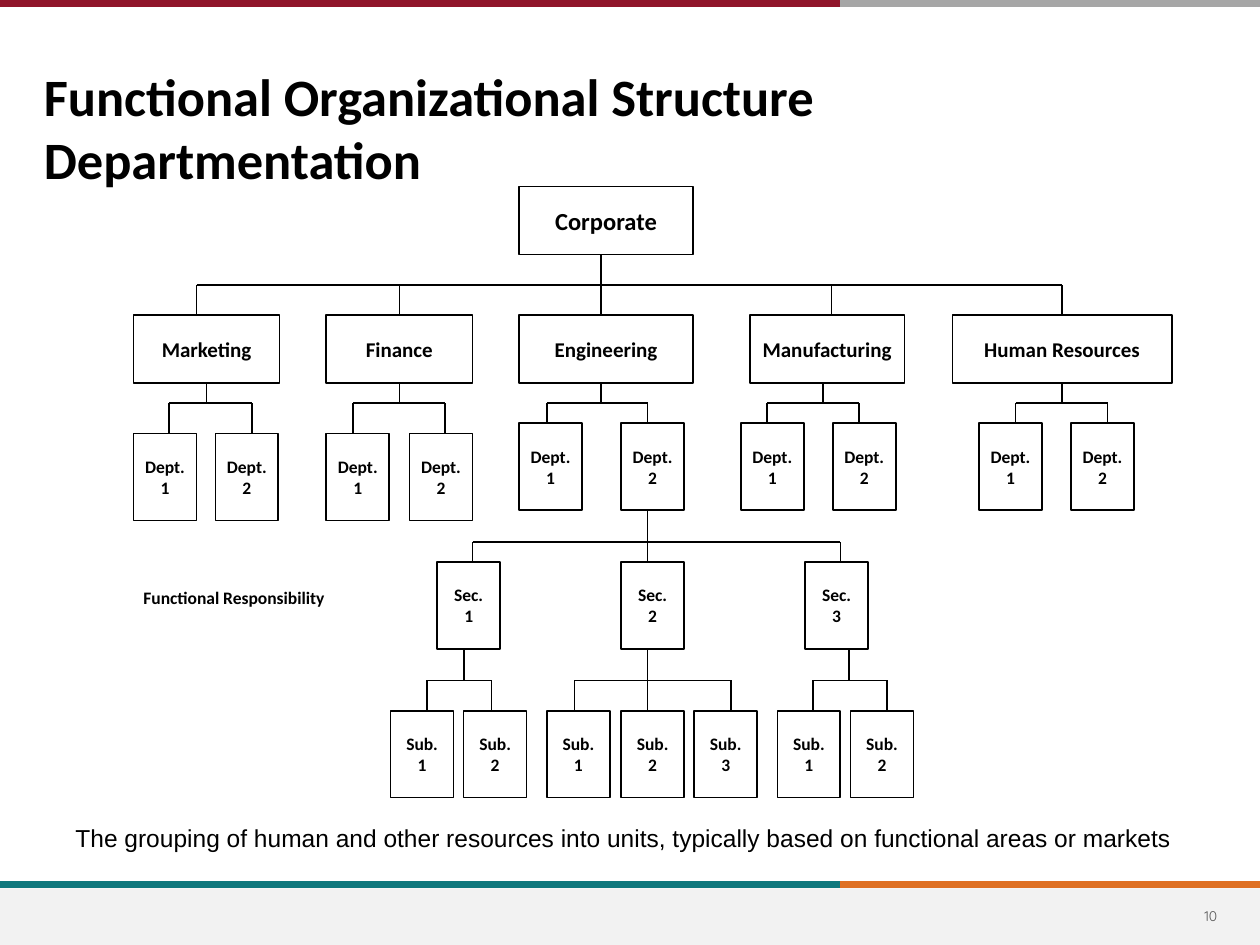
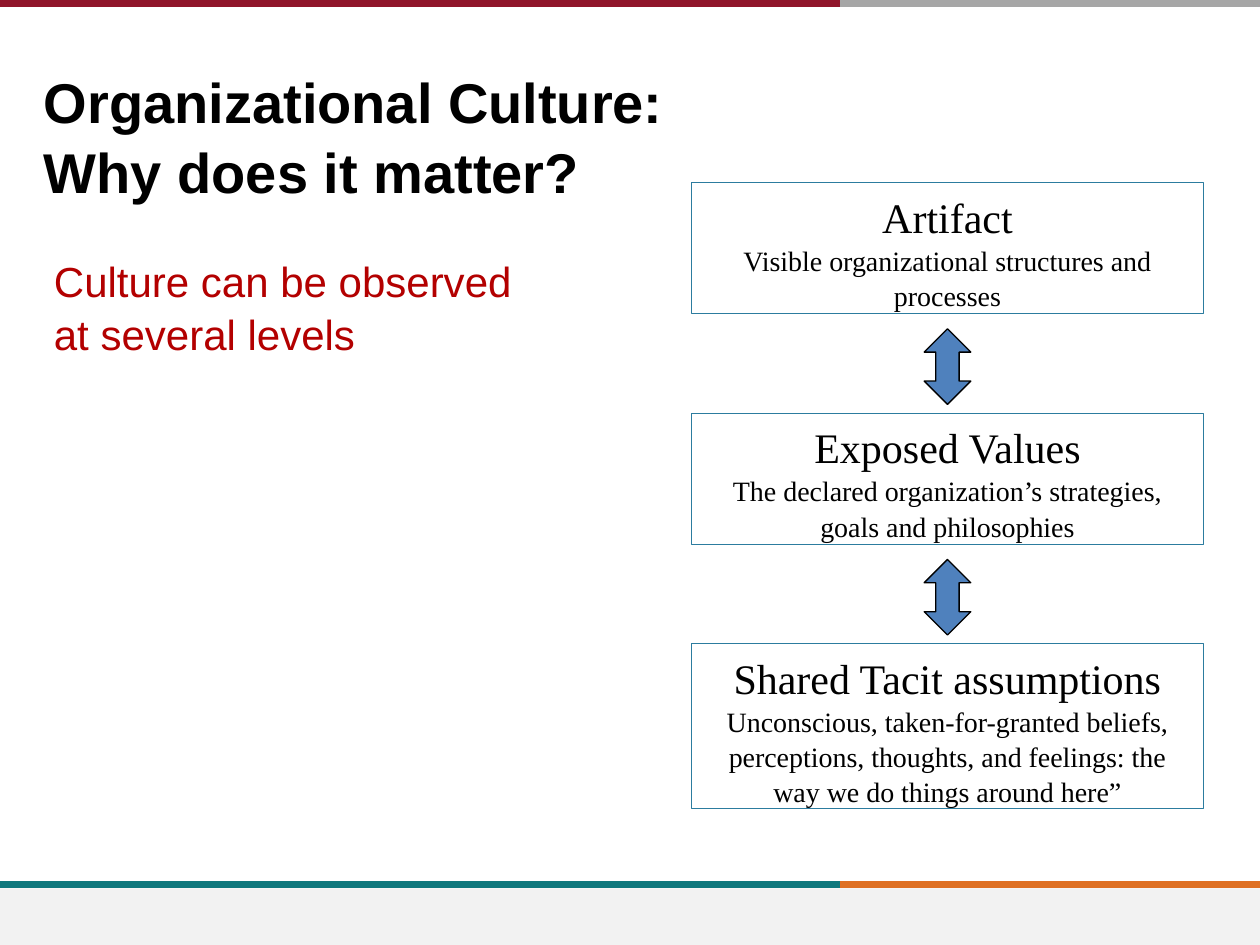
from dataclasses import dataclass

from lxml import etree
from pptx import Presentation
from pptx.dml.color import RGBColor
from pptx.enum.shapes import MSO_CONNECTOR, MSO_SHAPE
from pptx.enum.text import MSO_ANCHOR, PP_ALIGN
from pptx.oxml.ns import qn
from pptx.util import Inches, Pt

STRAIGHT = MSO_CONNECTOR.STRAIGHT
RECTANGLE, DOUBLE_ARROW = MSO_SHAPE.RECTANGLE, MSO_SHAPE.UP_DOWN_ARROW
LEFT, CENTER = PP_ALIGN.LEFT, PP_ALIGN.CENTER
TOP, MIDDLE = MSO_ANCHOR.TOP, MSO_ANCHOR.MIDDLE
BOX_TOP, BOX_BOTTOM = 0, 2

COLORS = {
    "black": "000000", "teal": "0F787D", "orange": "DF7023", "maroon": "90152A",
    "gray": "A6A6A6", "footer": "F2F2F2", "number": "595959", "red": "B30000",
    "frame": "2C7C9F", "arrow": "4F81BD",
}
SLIDE_WIDTH, SLIDE_HEIGHT = 10, 7.5
BAND_SPLIT = 6.67
UNIT_HEIGHT, LEAF_WIDTH, LEAF_HEIGHT = 0.54, 0.5, 0.69


@dataclass
class Unit:
    """One box of the organization chart, placed relative to the chart."""

    lines: tuple
    left: float
    top: float
    drop: float
    width: float = LEAF_WIDTH
    height: float = LEAF_HEIGHT
    size: int = 10
    stem: float = 0
    bar: float = 0
    children: tuple = ()


def color(name):
    """Return the named colour."""
    return RGBColor.from_string(COLORS[name])


def write_text(shape, *lines, sizes=(10,), font="Calibri", fill="black", bold=False,
               align=LEFT, anchor=TOP, wrap=True, spacing=1.0):
    """Write one paragraph per line; the last size serves the remaining lines."""
    frame = shape.text_frame
    frame.word_wrap = wrap
    frame.vertical_anchor = anchor
    for index, line in enumerate(lines):
        paragraph = frame.add_paragraph() if index else frame.paragraphs[0]
        paragraph.text = line
        paragraph.alignment = align
        paragraph.line_spacing = spacing
        for run in paragraph.runs:
            run.font.size = Pt(sizes[min(index, len(sizes) - 1)])
            run.font.name = font
            run.font.bold = bold
            run.font.color.rgb = color(fill)


def add_text(slide, left, top, width, height, *lines, **text_format):
    """Add a text box."""
    box = slide.shapes.add_textbox(Inches(left), Inches(top), Inches(width), Inches(height))
    write_text(box, *lines, **text_format)


def add_box(slide, left, top, width, height, kind=RECTANGLE, fill=None, line=None, weight=1):
    """Add a preset shape with optional fill and outline."""
    shape = slide.shapes.add_shape(kind, Inches(left), Inches(top), Inches(width), Inches(height))
    shape.shadow.inherit = False
    if fill:
        shape.fill.solid()
        shape.fill.fore_color.rgb = color(fill)
    else:
        shape.fill.background()
    if line:
        shape.line.color.rgb = color(line)
        shape.line.width = Pt(weight)
    else:
        shape.line.fill.background()
    return shape


def add_line(slide, x1, y1, x2, y2, line="black", weight=1):
    """Add a straight line without shadow."""
    connector = slide.shapes.add_connector(STRAIGHT, Inches(x1), Inches(y1), Inches(x2), Inches(y2))
    connector.line.color.rgb = color(line)
    connector.line.width = Pt(weight)
    etree.SubElement(connector._element.spPr, qn("a:effectLst"))
    return connector


def add_band(slide, y, first, second):
    """Draw a two-coloured band across the slide."""
    add_line(slide, BAND_SPLIT, y, SLIDE_WIDTH, y, second, 4)
    add_line(slide, 0, y, BAND_SPLIT, y, first, 4)


def add_base_slide(presentation, title, **title_format):
    """Add a slide with the bands, footer and title that all slides share."""
    slide = presentation.slides.add_slide(presentation.slide_layouts[6])
    add_band(slide, 7.02, "teal", "orange")
    add_box(slide, 0, 7.05, SLIDE_WIDTH, 0.45, fill="footer")
    add_band(slide, 0.03, "maroon", "gray")
    add_text(slide, 0.25, 0.46, 7.99, 1, title, bold=True, **title_format)
    return slide


def leaves(word, top, *places):
    """Return numbered units from pairs of left edge and drop position."""
    return tuple(Unit((word, str(number)), left, top, drop)
                 for number, (left, drop) in enumerate(places, 1))


def division(name, left, width, drop, stem, dept_top, *places):
    """Return a division with its departments."""
    return Unit((name,), left, 1.02, drop, width, UNIT_HEIGHT, 12, stem, 1.72,
                leaves("Dept.", dept_top, *places))


def build_corporation():
    """Return the whole tree of units."""
    divisions = (
        division("Marketing", 0, 1.16, 0.5, 0.57, 1.96, (0, 0.28), (0.65, 0.94)),
        division("Finance", 1.53, 1.16, 2.11, 2.11, 1.96, (1.53, 1.74), (2.19, 2.47)),
        division("Engineering", 3.06, 1.38, 3.71, 3.71, 1.88, (3.06, 3.28), (3.87, 4.08)),
        division("Manufacturing", 4.89, 1.23, 5.54, 5.47, 1.88, (4.82, 5.03), (5.55, 5.76)),
        division("Human Resources", 6.5, 1.74, 7.37, 7.37, 1.88, (6.71, 7), (7.44, 7.73)),
    )
    sections = leaves("Sec.", 2.98, (2.41, 2.69), (3.87, 4.08), (5.33, 5.61))
    subsections = (
        (2.62, ((2.04, 2.33), (2.62, 2.84))),
        (4.08, ((3.28, 3.5), (3.87, 4.08), (4.45, 4.74))),
        (5.68, ((5.11, 5.39), (5.69, 5.98))),
    )
    for section, (stem, places) in zip(sections, subsections):
        section.stem, section.bar = stem, 3.92
        section.children = leaves("Sub.", 4.16, *places)
    engineering_dept = divisions[2].children[1]
    engineering_dept.stem, engineering_dept.bar = 4.08, 2.82
    engineering_dept.children = sections
    return Unit(("Corporate",), 3.06, 0, 0, 1.38, UNIT_HEIGHT, 14, 3.71, 0.78, divisions)


def join_to_bar(slide, box, unit, x, bar, side, left, top):
    """Join a unit to a bar, gluing the line where it meets the middle of the side."""
    center = unit.left + unit.width / 2
    is_centered = abs(x - center) < 0.02
    x = left + (center if is_centered else x)
    edge = unit.top + (unit.height if side == BOX_BOTTOM else 0)
    connector = add_line(slide, x, top + edge, x, top + bar)
    if is_centered:
        connector.begin_connect(box, side)


def draw_unit(slide, unit, left, top):
    """Draw a unit and everything below it, and return its box."""
    box = add_box(slide, left + unit.left, top + unit.top, unit.width, unit.height, line="black")
    write_text(box, *unit.lines, sizes=(unit.size,), bold=True, align=CENTER,
               anchor=MIDDLE, wrap=False)
    if unit.children:
        join_to_bar(slide, box, unit, unit.stem, unit.bar, BOX_BOTTOM, left, top)
        add_line(slide, left + unit.children[0].drop, top + unit.bar,
                 left + unit.children[-1].drop, top + unit.bar)
    for child in unit.children:
        child_box = draw_unit(slide, child, left, top)
        join_to_bar(slide, child_box, child, child.drop, unit.bar, BOX_TOP, left, top)
    return box


def draw_culture_levels(slide, left, top, width):
    """Stack the levels of culture with double arrows between them."""
    levels = (
        ("Artifact", "Visible organizational structures and processes", 1.04),
        ("Exposed Values", "The declared organization’s strategies, goals and philosophies", 1.04),
        ("Shared Tacit assumptions", "Unconscious, taken-for-granted beliefs, perceptions, "
         "thoughts, and feelings: the way we do things around here”", 1.31),
    )
    pitch, arrow_width, arrow_height = 1.83, 0.37, 0.6
    for index, (name, description, height) in enumerate(levels):
        level_top = top + index * pitch
        box = add_box(slide, left, level_top, width, height, line="frame", weight=0.75)
        write_text(box, name, description, sizes=(24, 16), font="Times New Roman",
                   align=CENTER, spacing=1.05)
        if index:
            arrow = add_box(slide, left + (width - arrow_width) / 2, level_top - 0.67,
                            arrow_width, arrow_height, DOUBLE_ARROW, "arrow", "black", 0.75)
            arrow.adjustments[0] = arrow.adjustments[1] = 0.5


def build_structure_slide(presentation):
    """Build the slide on functional departmentation."""
    slide = add_base_slide(presentation, "Functional Organizational Structure\vDepartmentation",
                           sizes=(30,))
    draw_unit(slide, build_corporation(), 1.06, 1.48)
    add_text(slide, 1.04, 4.61, 2.28, 0.27, "Functional Responsibility", bold=True)
    add_text(slide, 9.35, 7.07, 0.52, 0.4, "10", sizes=(8,), font="Quicksand", fill="number",
             align=CENTER, anchor=MIDDLE)
    add_text(slide, 0.5, 6.48, 9.61, 0.34,
             "The grouping of human and other resources into units, "
             "typically based on functional areas or markets", sizes=(14,), font="Arial")


def build_culture_slide(presentation):
    """Build the slide on the levels of organizational culture."""
    slide = add_base_slide(presentation, "Organizational Culture:\vWhy does it matter?",
                           sizes=(32,), font="Arial", spacing=1.05)
    draw_culture_levels(slide, 5.49, 1.45, 4.06)
    add_text(slide, 0.33, 1.96, 3.97, 1.31, "Culture can be observed", "at several levels",
             sizes=(24,), font="Arial", fill="red", spacing=1.05)


def main():
    """Build and save the presentation."""
    presentation = Presentation()
    presentation.slide_width = Inches(SLIDE_WIDTH)
    presentation.slide_height = Inches(SLIDE_HEIGHT)
    build_structure_slide(presentation)
    build_culture_slide(presentation)
    presentation.save("out.pptx")


if __name__ == "__main__":
    main()
